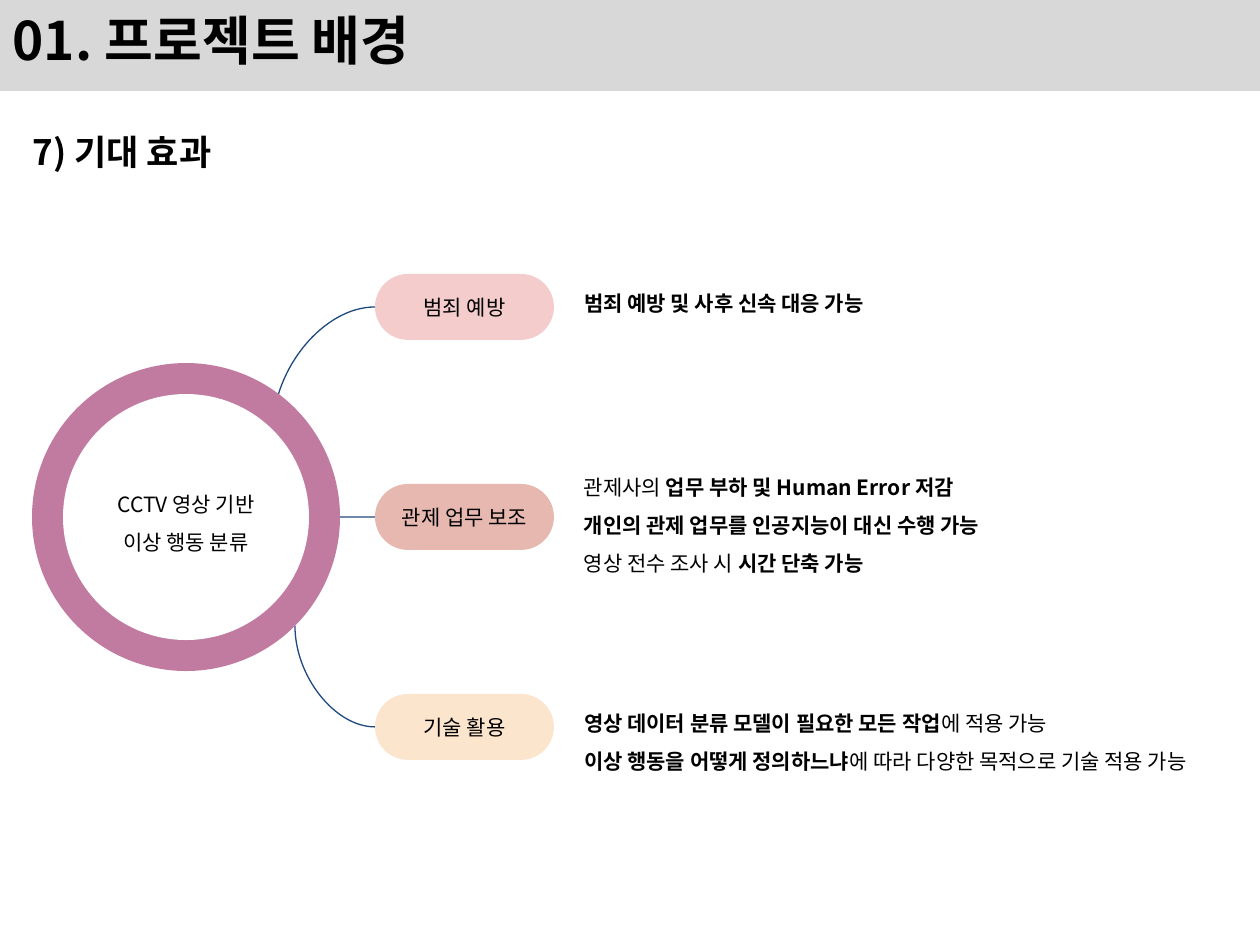
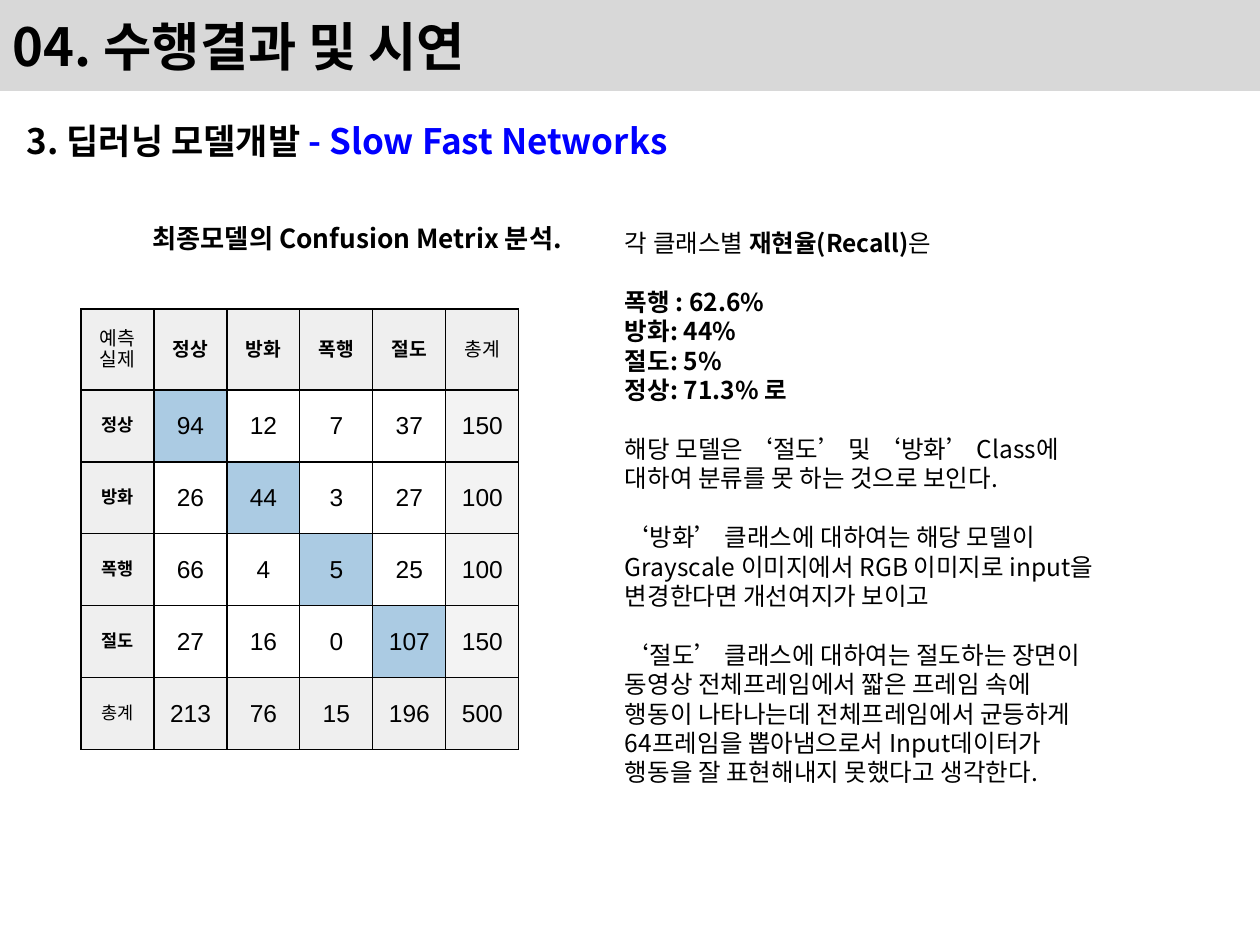
from lxml import etree
from pptx import Presentation
from pptx.dml.color import RGBColor
from pptx.enum.shapes import MSO_CONNECTOR, MSO_SHAPE
from pptx.enum.text import MSO_ANCHOR, MSO_AUTO_SIZE, PP_ALIGN
from pptx.oxml.ns import qn
from pptx.util import Pt

PX = 914400 / 126
SANS, ARIAL = "Noto Sans CJK KR", "Arial"
BLACK, WHITE, BLUE, NAVY = "000000", "FFFFFF", "0000FF", "1F497D"
BAND_GREY, HEAD_GREY, TOTAL_GREY, HIT_BLUE = "D8D8D8", "EFEFEF", "F3F3F3", "ABCBE3"
RING_PINK = "C27BA0"
RECT, PILL, OVAL = MSO_SHAPE.RECTANGLE, MSO_SHAPE.ROUNDED_RECTANGLE, MSO_SHAPE.OVAL
CURVE = MSO_CONNECTOR.CURVE
TOP, MIDDLE = MSO_ANCHOR.TOP, MSO_ANCHOR.MIDDLE
LEFT, CENTER, JUSTIFY = PP_ALIGN.LEFT, PP_ALIGN.CENTER, PP_ALIGN.JUSTIFY
FIXED = MSO_AUTO_SIZE.NONE
SIDES = ("margin_left", "margin_top", "margin_right", "margin_bottom")
BAND_BOX = (0, 0, 1260, 91)

EFFECTS = [
    ("범죄 예방", "F4CCCC", (278, 57, 509), TOP, 1,
     [[("범죄 예방 및 사후 신속 대응 가능", True)]]),
    ("관제 업무 보조", "E6B8AF", (464, 110, 631), MIDDLE, 1.5,
     [[("관제사의 ", False), ("업무 부하 및 Human Error 저감", True)],
      [("개인의 관제 업무를 인공지능이 대신 수행 가능", True)],
      [("영상 전수 조사 시", False), (" 시간 단축 가능", True)]]),
    ("기술 활용", "FCE5CD", (685, 89, 689), TOP, 1.5,
     [[("영상 데이터 분류 모델이 필요한 모든 작업", True), ("에 적용 가능", False)],
      [("이상 행동을 어떻게 정의하느냐", True),
       ("에 따라 다양한 목적으로 기술 적용 가능", False)]]),
]
CONFUSION = [
    ["예측\n실제", "정상", "방화", "폭행", "절도", "총계"],
    ["정상", 94, 12, 7, 37, 150],
    ["방화", 26, 44, 3, 27, 100],
    ["폭행", 66, 4, 5, 25, 100],
    ["절도", 27, 16, 0, 107, 150],
    ["총계", 213, 76, 15, 196, 500],
]
RECALL_GROUPS = [
    [[("각 클래스별 ", False), ("재현율(Recall)", True), ("은", False)]],
    [[(line, True)] for line in
     ("폭행 : 62.6%", "방화: 44%", "절도: 5%", "정상: 71.3% 로")],
    [[("해당 모델은 ‘절도’ 및 ‘방화’ Class에 대하여 분류를 못 하는 것으로 보인다.", False)]],
    [[("‘방화’ 클래스에 대하여는 해당 모델이 Grayscale 이미지에서 RGB 이미지로 "
       "input을 변경한다면 개선여지가 보이고", False)]],
    [[("‘절도’ 클래스에 대하여는 절도하는 장면이 동영상 전체프레임에서 짧은 프레임 속에 "
       "행동이 나타나는데 전체프레임에서 균등하게 64프레임을 뽑아냄으로서 Input데이터가 "
       "행동을 잘 표현해내지 못했다고 생각한다.", False)]],
]


def px(*lengths):
    """Turn pixel lengths into a list of EMU."""
    return [round(length * PX) for length in lengths]


def rgb(code):
    """Turn a hex string into a colour."""
    return RGBColor.from_string(code)


def apply(target, values):
    """Set every attribute named in a dict of format values."""
    for name, value in values.items():
        setattr(target, name, value)


def write_spans(para, spans, size, family=SANS):
    """Fill a paragraph with (text, bold, colour) spans."""
    for text, bold, *color in spans:
        span = para.add_run()
        span.text = text
        apply(span.font, {"size": Pt(size), "bold": bold, "name": family})
        span.font.color.rgb = rgb(color[0] if color else BLACK)
        east = etree.SubElement(span._r.get_or_add_rPr(), qn("a:ea"))
        east.set("typeface", family)


def write(frame, paras, size, family=SANS, **layout):
    """Fill a text frame with paragraphs that share one layout."""
    for index, spans in enumerate(paras):
        para = frame.add_paragraph() if index else frame.paragraphs[0]
        apply(para, layout)
        write_spans(para, spans, size, family)


def inset(target, margin=13):
    """Give a frame or a cell the same margin on all sides."""
    apply(target, dict.fromkeys(SIDES, px(margin)[0]))


def add_block(shapes, kind, box, fill):
    """Add a plain filled shape."""
    block = shapes.add_shape(kind, *px(*box))
    block.shadow.inherit = False
    block.fill.solid()
    block.fill.fore_color.rgb = rgb(fill)
    block.line.fill.background()
    return block


def add_label(block, lines, spacing=1):
    """Centre lines of text in a shape."""
    inset(block.text_frame)
    block.text_frame.vertical_anchor = MIDDLE
    write(block.text_frame, [[(line, False)] for line in lines], 12,
          alignment=CENTER, line_spacing=spacing)


def add_text(page, box, anchor=TOP):
    """Add a wrapping text box and return its frame."""
    frame = page.shapes.add_textbox(*px(*box)).text_frame
    apply(frame, {"word_wrap": True, "auto_size": FIXED, "vertical_anchor": anchor})
    inset(frame)
    return frame


def place(holder, box, anchor):
    """Move a placeholder and return its frame."""
    apply(holder, dict(zip(("left", "top", "width", "height"), px(*box))))
    apply(holder.text_frame,
          {"word_wrap": True, "auto_size": FIXED, "vertical_anchor": anchor})
    return holder.text_frame


def add_page(deck, title, title_size, title_spacing, body_box, headings):
    """Add a page with its title and (spans, size, indent, space before) headings."""
    page = deck.slides.add_slide(deck.slide_layouts[1])
    write(place(page.shapes.title, BAND_BOX, MIDDLE), [[(title, True)]], title_size,
          alignment=LEFT, line_spacing=title_spacing)
    frame = place(page.placeholders[1], body_box, TOP)
    for index, (spans, size, indent, before) in enumerate(headings):
        para = frame.add_paragraph() if index else frame.paragraphs[0]
        props = para._p.get_or_add_pPr()
        props.set("marL", str(px(indent)[0]))
        props.set("indent", "0")
        etree.SubElement(props, qn("a:buNone"))
        apply(para, {"alignment": LEFT, "space_before": Pt(before)})
        write_spans(para, spans, size)
    return page


def add_master_band(deck, page):
    """Put the grey title band behind everything on the slide master."""
    band = add_block(page.shapes, RECT, BAND_BOX, BAND_GREY)
    deck.slide_master.shapes.element.insert(2, band._element)


def add_branch(page, start, end):
    """Draw a curve from a pill back to the ring."""
    branch = page.shapes.add_connector(CURVE, *px(*start, *end))
    branch.line.color.rgb = rgb(NAVY)
    branch.line.width = Pt(0.75)
    props = branch._element.spPr
    etree.SubElement(props, qn("a:effectLst"))
    if start[1] != end[1]:
        props.find(qn("a:prstGeom")).set("prst", "curvedConnector2")
    return branch


def add_ring(page, left, top, size, rim):
    """Draw the topic ring with its text in the middle."""
    ring = page.shapes.add_group_shape()
    add_block(ring.shapes, OVAL, (left, top, size, size), RING_PINK)
    core = size - 2 * rim
    disc = add_block(ring.shapes, OVAL, (left + rim, top + rim, core, core), WHITE)
    add_label(disc, ["CCTV 영상 기반", "이상 행동 분류"], 1.5)


def add_effects(page, left, top, step):
    """Place one pill, branch and caption for each expected effect."""
    width, height = 179, 66
    ring_ends = [(273, 430), (309, 517), (295, 626)]
    for row, (name, fill, extent, anchor, spacing, paras) in enumerate(EFFECTS):
        pill_top = top + row * step
        pill = add_block(page.shapes, PILL, (left, pill_top, width, height), fill)
        pill.adjustments[0] = 0.5
        add_label(pill, [name])
        start = (left, pill_top + height // 2)
        branch = add_branch(page, start, ring_ends[row])
        if start[1] == ring_ends[row][1]:
            branch.begin_connect(pill, 1)
        text_top, text_height, text_width = extent
        frame = add_text(page, (left + 196, text_top, text_width, text_height), anchor)
        write(frame, paras, 12, alignment=JUSTIFY, line_spacing=spacing)


def add_borders(cell):
    """Draw thin black lines round a cell."""
    props = cell._tc.get_or_add_tcPr()
    for side in ("lnL", "lnR", "lnT", "lnB"):
        line = etree.SubElement(props, qn(f"a:{side}"), w=str(Pt(0.75)))
        paint = etree.SubElement(line, qn("a:solidFill"))
        etree.SubElement(paint, qn("a:srgbClr"), val=BLACK)


def cell_fill(row, column, last):
    """Choose the fill of a cell by its place in the matrix."""
    if row in (0, last) or column == 0:
        return HEAD_GREY
    if column == last:
        return TOTAL_GREY
    return HIT_BLUE if row == column else WHITE


def add_confusion_table(page, left, top, column_width, head_height, row_height):
    """Draw the confusion matrix with its totals."""
    count = len(CONFUSION)
    last = count - 1
    box = (left, top, column_width * count, head_height + row_height * last)
    table = page.shapes.add_table(count, count, *px(*box)).table
    apply(table, {"first_row": False, "horz_banding": False})
    for column in table.columns:
        column.width = px(column_width)[0]
    for row, values in enumerate(CONFUSION):
        table.rows[row].height = px(row_height if row else head_height)[0]
        for column, value in enumerate(values):
            cell = table.cell(row, column)
            add_borders(cell)
            cell.fill.solid()
            cell.fill.fore_color.rgb = rgb(cell_fill(row, column, last))
            inset(cell)
            cell.vertical_anchor = MIDDLE
            size = 11 if row == 0 else 10 if column == 0 else 14
            bold = min(row, column) == 0 and 0 < max(row, column) < last
            lines = [[(line, bold)] for line in str(value).split("\n")]
            write(cell.text_frame, lines, size, ARIAL, alignment=CENTER)


def add_recall_notes(page, box):
    """Write the recall findings, with a gap before each group."""
    frame = add_text(page, box)
    write(frame, sum(RECALL_GROUPS, []), 14, alignment=LEFT)
    start = 0
    for group in RECALL_GROUPS[:-1]:
        start += len(group)
        frame.paragraphs[start].space_before = Pt(16.8)


def build_effects_page(deck):
    """Build the page on the expected effects."""
    page = add_page(deck, "01. 프로젝트 배경", 30.3, 0.8, (20, 124, 1221, 227),
                    [([("7) 기대 효과", True)], 20, 0, 0)])
    add_master_band(deck, page)
    add_effects(page, 375, 274, 210)
    add_ring(page, 32, 363, 308, 31)


def build_results_page(deck):
    """Build the page on the confusion matrix."""
    headings = [
        ([("3. 딥러닝 모델개발", True), (" - Slow Fast Networks", True, BLUE)], 20, 0, 0),
        ([("최종모델의 Confusion Metrix 분석.", True)], 15, 126, 35),
    ]
    page = add_page(deck, "04. 수행결과 및 시연", 30, 1, (14, 113, 1221, 827), headings)
    add_confusion_table(page, 81, 309, 73, 81, 72)
    add_recall_notes(page, (612, 215, 500, 649))


def main():
    """Build the deck and save it."""
    deck = Presentation()
    deck.slide_width, deck.slide_height = px(1260, 945)
    build_effects_page(deck)
    build_results_page(deck)
    deck.save("out.pptx")


if __name__ == "__main__":
    main()
